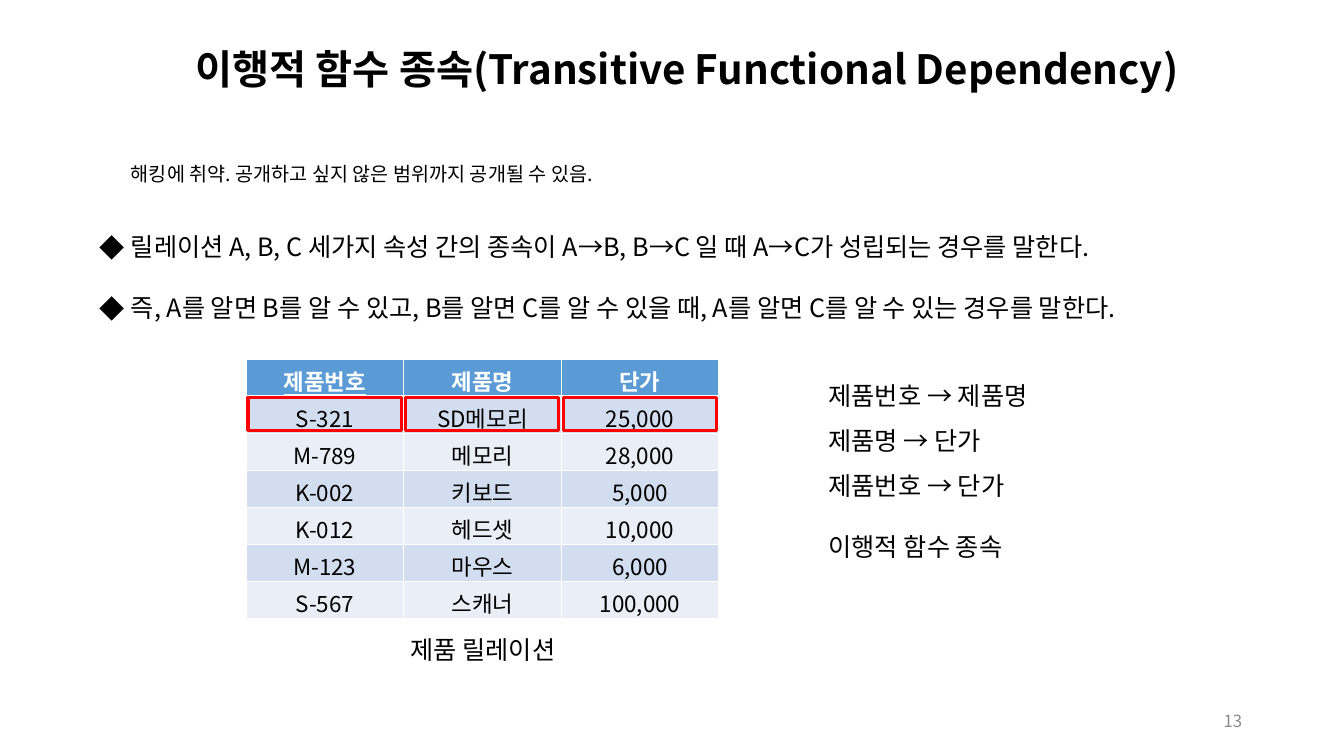
from pptx import Presentation
from pptx.dml.color import RGBColor
from pptx.enum.shapes import MSO_SHAPE
from pptx.enum.text import MSO_ANCHOR, PP_ALIGN
from pptx.oxml import parse_xml
from pptx.oxml.ns import nsdecls, qn
from pptx.util import Inches, Pt
from lxml.etree import SubElement

FONT = "Noto Sans CJK KR"
HEADER = ["제품번호", "제품명", "단가"]
PRODUCTS = [
    ["S-321", "SD메모리", "25,000"],
    ["M-789", "메모리", "28,000"],
    ["K-002", "키보드", "5,000"],
    ["K-012", "헤드셋", "10,000"],
    ["M-123", "마우스", "6,000"],
    ["S-567", "스캐너", "100,000"],
]
TABLE_LEFT, TABLE_TOP = 2.44, 3.57
COL_W, ROW_H = 1.563, 0.367


def rgb(color):
    """Turn a hex string into a colour."""
    return RGBColor.from_string(color)


def write(p, text, size=18, color="000000", bold=False, underline=False,
          align=PP_ALIGN.LEFT, spacing=None, before=None, bullet=None):
    """Write one formatted run into a paragraph."""
    if bullet:
        pPr = p._p.get_or_add_pPr()
        pPr.set("marL", str(Inches(0.31)))
        pPr.set("indent", str(-Inches(0.31)))
        SubElement(pPr, qn("a:buFont")).set("typeface", FONT)
        SubElement(pPr, qn("a:buChar")).set("char", bullet)
    p.alignment = align
    if spacing:
        p.line_spacing = spacing
    if before:
        p.space_before = Pt(before)
    r = p.add_run()
    r.text = text
    font = r.font
    font.name, font.size = FONT, Pt(size)
    font.bold, font.underline = bold, underline
    font.color.rgb = rgb(color)
    SubElement(r._r.get_or_add_rPr(), qn("a:ea")).set("typeface", FONT)


def add_text(s, x, y, w, h, lines, anchor=MSO_ANCHOR.TOP, **fmt):
    """Add a text box with one paragraph per line and return its frame."""
    tf = s.shapes.add_textbox(Inches(x), Inches(y), Inches(w), Inches(h)).text_frame
    tf.word_wrap = True
    tf.vertical_anchor = anchor
    for i, line in enumerate(lines):
        p = tf.add_paragraph() if i else tf.paragraphs[0]
        write(p, line, **fmt)
    return tf


def set_borders(cell, bottom):
    """Give a cell white borders with its own bottom width."""
    tcPr = cell._tc.get_or_add_tcPr()
    widths = {"lnL": 1, "lnR": 1, "lnT": 1, "lnB": bottom}
    for i, (tag, width) in enumerate(widths.items()):
        tcPr.insert(i, parse_xml(
            f'<a:{tag} {nsdecls("a")} w="{Pt(width)}"><a:solidFill>'
            f'<a:srgbClr val="FFFFFF"/></a:solidFill></a:{tag}>'))


def add_product_table(s):
    """Add the product relation with a header and banded rows."""
    rows = [HEADER] + PRODUCTS
    table = s.shapes.add_table(
        len(rows), len(HEADER), Inches(TABLE_LEFT), Inches(TABLE_TOP),
        Inches(COL_W * len(HEADER)), Inches(ROW_H * len(rows))).table
    for column in table.columns:
        column.width = Inches(COL_W)
    for i, row in enumerate(rows):
        table.rows[i].height = Inches(ROW_H)
        head = i == 0
        fill = "5B9BD5" if head else "D2DEEF" if i % 2 else "EAEFF7"
        for j, text in enumerate(row):
            cell = table.cell(i, j)
            cell.fill.solid()
            cell.fill.fore_color.rgb = rgb(fill)
            set_borders(cell, bottom=3 if head else 1)
            write(cell.text_frame.paragraphs[0], text, size=16, bold=head,
                  color="FFFFFF" if head else "000000",
                  underline=head and j == 0, align=PP_ALIGN.CENTER)


def add_highlight(s, x, y, w, h):
    """Add a red outline."""
    sp = s.shapes.add_shape(MSO_SHAPE.RECTANGLE, Inches(x), Inches(y), Inches(w), Inches(h))
    sp.shadow.inherit = False
    sp.fill.background()
    sp.line.color.rgb = rgb("FF0000")
    sp.line.width = Pt(2.25)


def main():
    """Build the slide and save it."""
    prs = Presentation()
    prs.slide_width, prs.slide_height = Inches(13.33), Inches(7.5)
    s = prs.slides.add_slide(prs.slide_layouts[6])

    add_text(s, 1.84, 0.21, 10.27, 0.99,
             ["이행적 함수 종속(Transitive Functional Dependency)"],
             anchor=MSO_ANCHOR.MIDDLE, size=28.8, bold=True, spacing=0.9)
    add_text(s, 0.89, 1.95, 11.68, 1.31, [
        "릴레이션 A, B, C 세가지 속성 간의 종속이 A→B, B→C 일 때 A→C가 성립되는 경우를 말한다.",
        "즉, A를 알면 B를 알 수 있고, B를 알면 C를 알 수 있을 때, A를 알면 C를 알 수 있는 경우를 말한다.",
    ], spacing=2.0, bullet="◆")
    add_text(s, 9.42, 6.95, 3, 0.4, ["13"], anchor=MSO_ANCHOR.MIDDLE,
             size=12, color="8C8C8C", align=PP_ALIGN.RIGHT)

    add_product_table(s)
    add_text(s, 3.62, 6.24, 2.34, 0.4, ["제품 릴레이션"], align=PP_ALIGN.CENTER)
    tf = add_text(s, 8.12, 3.57, 2.8, 2.37, [
        "제품번호 → 제품명", "제품명 → 단가", "제품번호 → 단가"], spacing=1.5)
    write(tf.add_paragraph(), "이행적 함수 종속", before=22)

    for j in range(len(HEADER)):
        add_highlight(s, TABLE_LEFT + 0.02 + j * COL_W, 3.94, 1.52, 0.33)
    add_text(s, 1.2, 1.56, 6.92, 0.34,
             ["해킹에 취약. 공개하고 싶지 않은 범위까지 공개될 수 있음."], size=14)

    prs.save("out.pptx")


if __name__ == "__main__":
    main()
